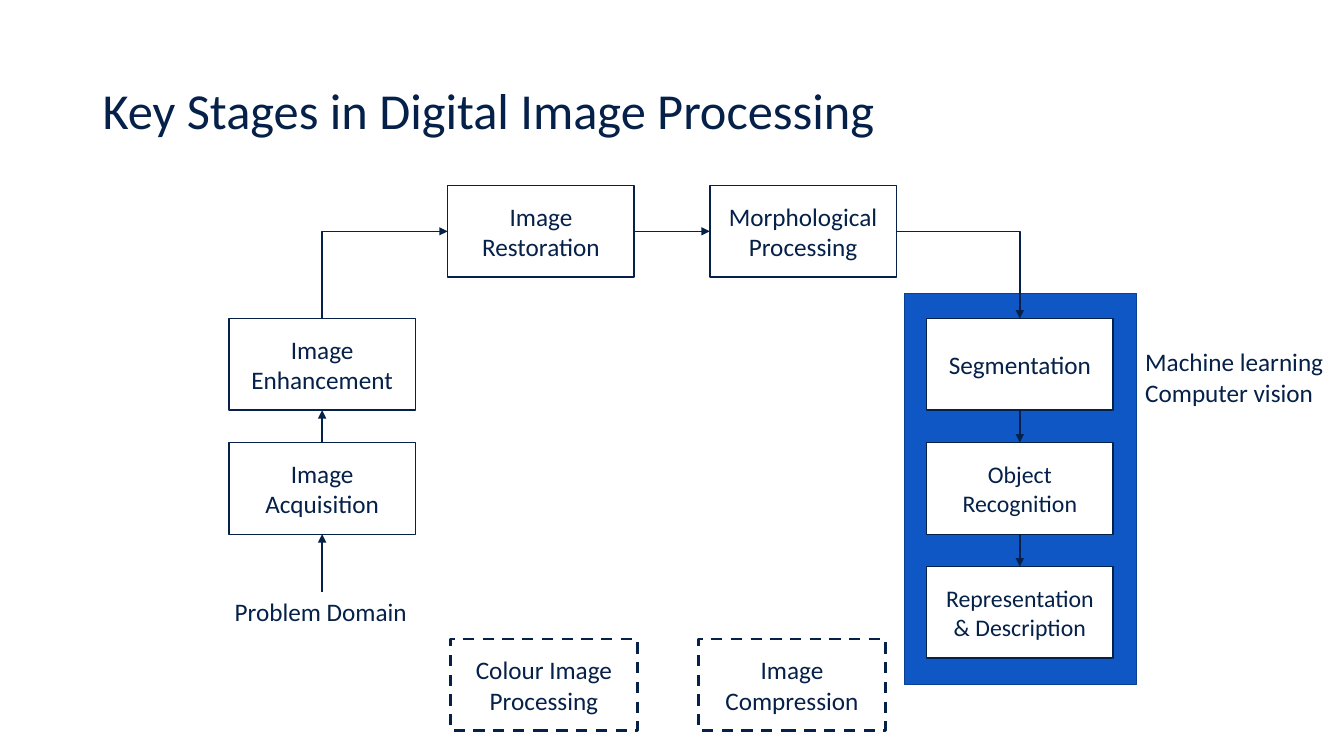
"""Build the slide on the key stages in digital image processing."""
from lxml import etree
from pptx import Presentation
from pptx.dml.color import RGBColor
from pptx.enum.dml import MSO_LINE_DASH_STYLE as Dash
from pptx.enum.shapes import MSO_CONNECTOR as Link, MSO_SHAPE as Shape
from pptx.enum.text import MSO_ANCHOR as Anchor, MSO_AUTO_SIZE as Fit, PP_ALIGN as Align
from pptx.oxml.ns import qn
from pptx.util import Inches, Pt

NAVY = RGBColor(0x05, 0x20, 0x49)
BLUE = RGBColor(0x0E, 0x57, 0xC4)
BLUE_EDGE = RGBColor(0x0A, 0x40, 0x91)
WHITE = RGBColor(0xFF, 0xFF, 0xFF)
TOP, LEFT, BOTTOM, RIGHT = range(4)
STAGE_WIDTH, STAGE_HEIGHT = 1.85, 0.91
FIRST_ROW, ROW_STEP = 3.16, 1.23
LEFT_COLUMN, RIGHT_COLUMN = 2.27, 9.19
TOP_ROW, BOTTOM_ROW = 1.84, 6.34


class StageSlide:
    """Hold the slide and its style, and draw each kind of element."""

    def __init__(self, slide, font="Calibri", size=18, color=NAVY):
        self.shapes = slide.shapes
        self.font, self.size, self.color = font, size, color

    def add_lines(self, frame, lines, size=None, align=Align.LEFT):
        for index, line in enumerate(lines):
            para = frame.paragraphs[0] if index == 0 else frame.add_paragraph()
            para.alignment = align
            span = para.add_run()
            span.text = line
            span.font.name = self.font
            span.font.size = Pt(size or self.size)
            span.font.color.rgb = self.color

    def text(self, left, top, width, height, lines, size=None, wrap=True,
             anchor=Anchor.TOP, fit=Fit.SHAPE_TO_FIT_TEXT):
        box = self.shapes.add_textbox(Inches(left), Inches(top), Inches(width), Inches(height))
        frame = box.text_frame
        frame.word_wrap = wrap
        frame.auto_size = fit
        frame.vertical_anchor = anchor
        self.add_lines(frame, lines, size)
        return box

    def panel(self, left, top, width, height, fill, edge, weight=1):
        box = self.shapes.add_shape(
            Shape.RECTANGLE, Inches(left), Inches(top), Inches(width), Inches(height))
        box.shadow.inherit = False
        box.fill.solid()
        box.fill.fore_color.rgb = fill
        box.line.color.rgb = edge
        box.line.width = Pt(weight)
        return box

    def stage(self, left, top, label, size=None, dashed=False):
        box = self.panel(left, top, STAGE_WIDTH, STAGE_HEIGHT, WHITE, self.color,
                         2 if dashed else 1)
        if dashed:
            box.line.dash_style = Dash.DASH
        box.text_frame.word_wrap = True
        box.text_frame.vertical_anchor = Anchor.MIDDLE
        self.add_lines(box.text_frame, [label], size, Align.CENTER)
        return box

    def arrow(self, start, start_side, end, end_side, kind=Link.STRAIGHT):
        link = self.shapes.add_connector(kind, 0, 0, 0, 0)
        link.begin_connect(start, start_side)
        link.end_connect(end, end_side)
        link.line.color.rgb = self.color
        link.line.width = Pt(1)
        properties = link._element.spPr
        etree.SubElement(properties.find(qn("a:ln")), qn("a:tailEnd"), type="triangle")
        etree.SubElement(properties, qn("a:effectLst"))
        return link

    def corner(self, start, start_side, end, end_side):
        link = self.arrow(start, start_side, end, end_side, Link.ELBOW)
        properties = link._element.spPr
        properties.find(qn("a:prstGeom")).set("prst", "bentConnector2")
        if start_side == TOP:
            shift = (link.width - link.height) // 2
            link.left, link.top = link.left + shift, link.top - shift
            link.width, link.height = link.height, link.width
            frame = properties.find(qn("a:xfrm"))
            frame.attrib.pop("flipV", None)
            frame.set("rot", str(270 * 60000))


def main():
    deck = Presentation()
    deck.slide_width, deck.slide_height = Inches(13.33), Inches(7.5)
    page = StageSlide(deck.slides.add_slide(deck.slide_layouts[6]))

    page.panel(8.97, 2.91, 2.3, 3.88, BLUE, BLUE_EDGE)
    title = page.text(0.92, 0.4, 11.5, 1.45, ["Key Stages in Digital Image Processing"],
                      size=36, anchor=Anchor.MIDDLE, fit=Fit.NONE)
    title.text_frame.paragraphs[0].line_spacing = 0.9

    rows = [FIRST_ROW + ROW_STEP * index for index in range(3)]
    enhancement = page.stage(LEFT_COLUMN, rows[0], "Image Enhancement")
    acquisition = page.stage(LEFT_COLUMN, rows[1], "Image Acquisition")
    restoration = page.stage(4.44, TOP_ROW, "Image Restoration")
    morphology = page.stage(7.04, TOP_ROW, "Morphological Processing")
    segmentation = page.stage(RIGHT_COLUMN, rows[0], "Segmentation")
    recognition = page.stage(RIGHT_COLUMN, rows[1], "Object Recognition", size=17)
    description = page.stage(RIGHT_COLUMN, rows[2], "Representation & Description", size=17)
    page.stage(4.47, BOTTOM_ROW, "Colour Image Processing", dashed=True)
    page.stage(6.93, BOTTOM_ROW, "Image Compression", dashed=True)
    problem = page.text(2.23, 5.87, 1.93, 0.4, ["Problem Domain"], wrap=False)
    page.text(11.26, 3.39, 2.59, 0.71, ["Machine learning", "Computer vision"])

    page.arrow(problem, TOP, acquisition, BOTTOM)
    page.arrow(acquisition, TOP, enhancement, BOTTOM)
    page.corner(enhancement, TOP, restoration, LEFT)
    page.arrow(restoration, RIGHT, morphology, LEFT)
    page.corner(morphology, RIGHT, segmentation, TOP)
    page.arrow(segmentation, BOTTOM, recognition, TOP)
    page.arrow(recognition, BOTTOM, description, TOP)

    deck.save("out.pptx")


if __name__ == "__main__":
    main()
